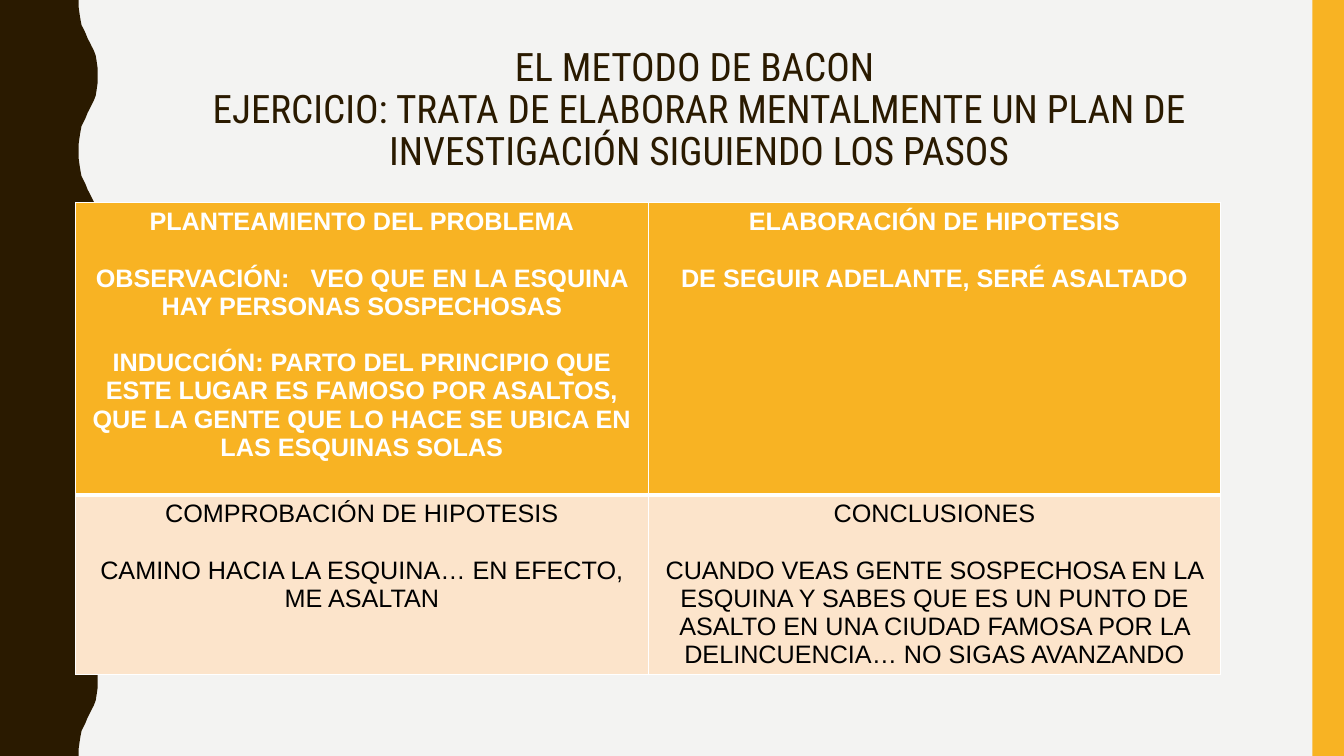
from lxml.etree import SubElement
from pptx import Presentation
from pptx.dml.color import RGBColor
from pptx.enum.shapes import MSO_SHAPE
from pptx.enum.text import MSO_ANCHOR, MSO_AUTO_SIZE, PP_ALIGN
from pptx.oxml.ns import qn
from pptx.util import Pt

INK = {"paper": "F3F3F2", "dark": "2A1A00", "gold": "F8B323",
       "peach": "FCE4CB", "white": "FFFFFF", "black": "000000"}
WIDE, HIGH = 960, 540
WAVE = [(56.2, 0), (56.2, 5), (56.9, 10), (57.6, 14.4), (58.3, 18),
        (59.8, 20.9), (61.2, 23.8), (62.6, 27.4), (64.1, 30.2), (65.5, 33.1),
        (67, 36), (68.4, 39.6), (69.1, 44), (69.8, 49), (69.8, 54)]
PERIOD = 108
TITLE = ["EL METODO DE BACON ",
         "EJERCICIO: TRATA DE ELABORAR MENTALMENTE UN PLAN DE "
         "INVESTIGACIÓN SIGUIENDO LOS PASOS"]
GRID = [
    [[["PLANTEAMIENTO DEL PROBLEMA"],
      ["OBSERVACIÓN:", " ", "VEO QUE EN LA ESQUINA HAY PERSONAS SOSPECHOSAS"],
      ["INDUCCIÓN: PARTO DEL PRINCIPIO QUE ESTE LUGAR ES FAMOSO POR ASALTOS, "
       "QUE LA GENTE QUE LO HACE SE UBICA EN LAS ESQUINAS SOLAS"]],
     [["ELABORACIÓN DE HIPOTESIS"],
      ["DE SEGUIR ADELANTE, SERÉ ASALTADO"]]],
    [[["COMPROBACIÓN DE HIPOTESIS"],
      ["CAMINO HACIA LA ESQUINA… EN EFECTO, ME ASALTAN"]],
     [["CONCLUSIONES"],
      ["CUANDO VEAS GENTE SOSPECHOSA EN LA ESQUINA Y SABES QUE ES UN PUNTO DE "
       "ASALTO EN UNA CIUDAD FAMOSA POR LA DELINCUENCIA… NO SIGAS AVANZANDO"]]],
]


def tint(name):
    """Return the named colour."""
    return RGBColor.from_string(INK[name])


def paint(shape, name):
    """Fill a shape flat, with no line or shadow."""
    shape.shadow.inherit = False
    shape.fill.solid()
    shape.fill.fore_color.rgb = tint(name)
    shape.line.fill.background()


def write(para, text, face, size, name, bold=False):
    """Add one formatted run to a paragraph."""
    run = para.add_run()
    run.text = text
    font = run.font
    font.name, font.size, font.bold = face, Pt(size), bold
    font.color.rgb = tint(name)
    return run


def add_wave(slide, left, top, high):
    """Draw the dark band with a wavy right edge."""
    back = [(x, PERIOD - y) for x, y in WAVE[-2::-1]]
    edge = [(x, y + turn * PERIOD) for turn in range(high // PERIOD)
            for x, y in WAVE + back]
    dots = [(Pt(left + x), Pt(top + y)) for x, y in edge + [(0, high)]]
    pen = slide.shapes.build_freeform(Pt(left), Pt(top))
    pen.add_line_segments(dots, close=True)
    paint(pen.convert_to_shape(), "dark")


def add_strip(slide, *box):
    """Draw the gold strip."""
    strip = slide.shapes.add_shape(MSO_SHAPE.RECTANGLE, *map(Pt, box))
    paint(strip, "gold")


def add_title(slide, left, top, wide, high):
    """Place and fill the title."""
    title = slide.shapes.title
    title.left, title.top = Pt(left), Pt(top)
    title.width, title.height = Pt(wide), Pt(high)
    frame = title.text_frame
    frame.word_wrap = True
    frame.auto_size = MSO_AUTO_SIZE.NONE
    frame.vertical_anchor = MSO_ANCHOR.TOP
    para = frame.paragraphs[0]
    para.alignment, para.line_spacing = PP_ALIGN.CENTER, 0.9
    for num, line in enumerate(TITLE):
        if num:
            para.add_line_break()
        write(para, line, "Roboto Condensed", 28, "dark")


def edge_cell(cell, sides):
    """Give a cell white borders of the given widths."""
    props = cell._tc.get_or_add_tcPr()
    for side, wide in sides.items():
        line = SubElement(props, qn("a:ln" + side), w=str(Pt(wide)))
        fill = SubElement(line, qn("a:solidFill"))
        SubElement(fill, qn("a:srgbClr"), val=INK["white"])


def fill_cell(cell, paras, head):
    """Colour a cell and write its paragraphs."""
    edge_cell(cell, {"L": 1, "R": 1, "T": 1 if head else 3,
                     "B": 3 if head else 1})
    cell.fill.solid()
    cell.fill.fore_color.rgb = tint("gold" if head else "peach")
    frame = cell.text_frame
    for num, parts in enumerate(paras):
        para = frame.add_paragraph() if num else frame.paragraphs[0]
        para.alignment = PP_ALIGN.CENTER
        if num:
            para.space_before = Pt(20.2)
        for part in parts:
            run = write(para, part, "Arial", 18,
                        "white" if head else "black", head)
            if part == " ":
                run.font._element.set("spc", "1000")


def add_grid(slide, left, top, wide, highs):
    """Build the table of the four steps."""
    box = map(Pt, (left, top, wide, sum(highs)))
    table = slide.shapes.add_table(len(GRID), len(GRID[0]), *box).table
    for col in table.columns:
        col.width = Pt(wide / len(GRID[0]))
    for num, high in enumerate(highs):
        table.rows[num].height = Pt(high)
        for col, paras in enumerate(GRID[num]):
            fill_cell(table.cell(num, col), paras, num == 0)


def main():
    """Build the slide and save it."""
    deck = Presentation()
    deck.slide_width, deck.slide_height = Pt(WIDE), Pt(HIGH)
    slide = deck.slides.add_slide(deck.slide_layouts[5])
    slide.background.fill.solid()
    slide.background.fill.fore_color.rgb = tint("paper")
    add_wave(slide, 0, 0, HIGH)
    add_strip(slide, 937.5, 0, 22.5, HIGH)
    add_title(slide, 98.6, 30.2, 801.4, 117.4)
    add_grid(slide, 54, 144.7, 818, (208.8, 128.2))
    deck.save("out.pptx")


if __name__ == "__main__":
    main()
